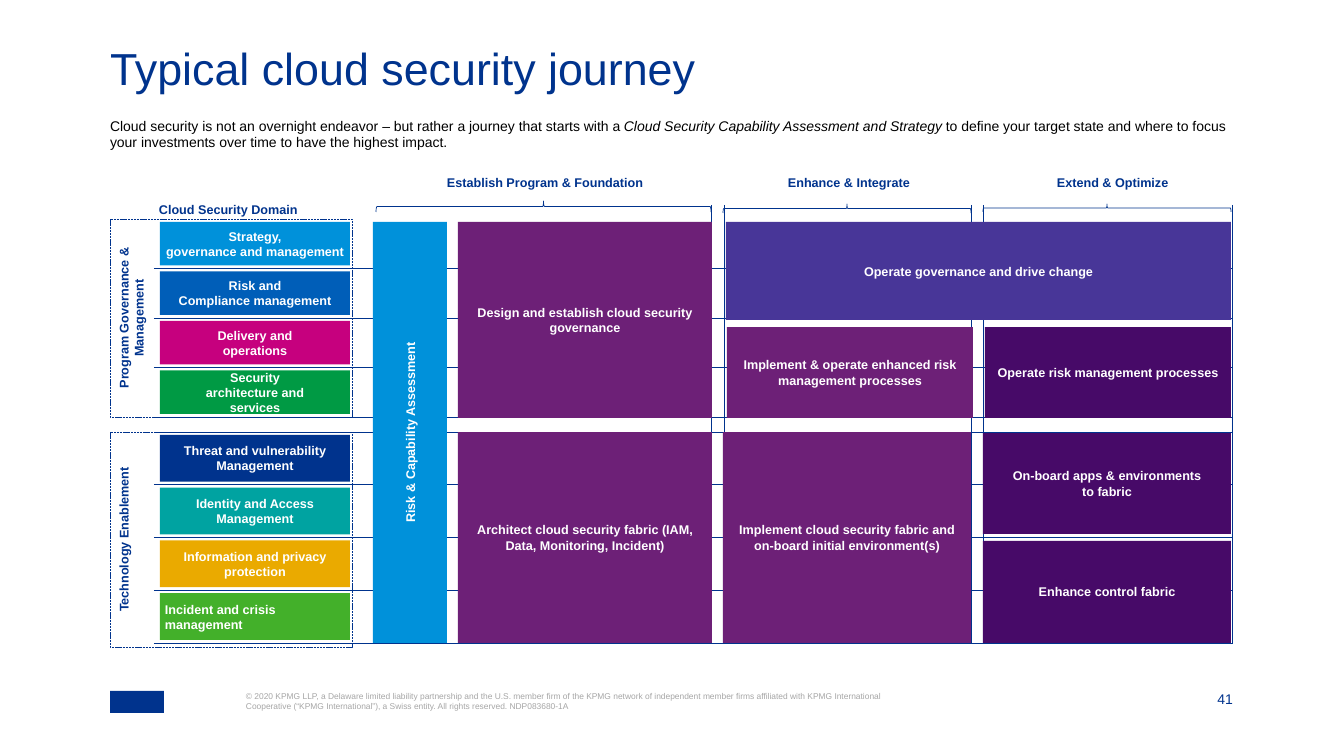
from dataclasses import dataclass

from lxml import etree
from pptx import Presentation
from pptx.dml.color import RGBColor
from pptx.enum.dml import MSO_LINE
from pptx.enum.shapes import MSO_CONNECTOR, MSO_SHAPE
from pptx.enum.text import MSO_ANCHOR, PP_ALIGN
from pptx.oxml.ns import qn
from pptx.util import Pt

EMU_PER_PX = 914400 / 100.8


@dataclass(frozen=True)
class Theme:
    font: str = "Arial"
    navy: str = "00338D"
    black: str = "000000"
    white: str = "FFFFFF"
    grey: str = "A6A6A6"
    sky: str = "0091DA"
    blue: str = "005EB8"
    pink: str = "C6007E"
    green: str = "009A44"
    teal: str = "00A3A1"
    amber: str = "EAAA00"
    lime: str = "43B02A"
    purple: str = "6D2077"
    indigo: str = "483698"
    violet: str = "470A68"
    title: int = 32
    body: int = 10
    label: int = 9
    legal: int = 6
    hairline: float = 0.5


THEME = Theme()


@dataclass(frozen=True)
class Box:
    x: float
    y: float
    w: float
    h: float

    def inner(self, dx, dy, w, h):
        return Box(self.x + dx, self.y + dy, w, h)

    def emu(self):
        return [px(v) for v in (self.x, self.y, self.w, self.h)]


BANDS = [  # name, top, frame height, height of the four rows, domains
    ("Program Governance & Management", 50, 198, 198, [
        ("Strategy,\ngovernance and management", THEME.sky),
        ("Risk and\nCompliance management", THEME.blue),
        ("Delivery and\noperations", THEME.pink),
        ("Security\narchitecture and\nservices", THEME.green),
    ]),
    ("Technology Enablement", 263, 215, 211, [
        ("Threat and vulnerability Management", THEME.navy),
        ("Identity and Access Management", THEME.teal),
        ("Information and privacy protection", THEME.amber),
        ("Incident and crisis management", THEME.lime),
    ]),
]

PHASES = [  # name, label left, bracket left, width, top and height
    ("Establish Program & Foundation", 331, 266, 335, 32, 11),
    ("Enhance & Integrate", 672, 613, 248, 35, 9),
    ("Extend & Optimize", 941, 873, 248, 35, 8),
]

ACTIVITIES = [  # text, left, top, width, height, colour
    ("Design and establish cloud security governance",
     348, 53, 254, 196, THEME.purple),
    ("Architect cloud security fabric (IAM, Data, Monitoring, Incident)",
     348, 263, 254, 211, THEME.purple),
    ("Implement cloud security fabric and on-board initial environment(s)",
     613, 263, 248, 211, THEME.purple),
    ("On-board apps & environments\nto fabric", 873, 264, 248, 101, THEME.violet),
    ("Enhance control fabric", 873, 372, 248, 102, THEME.violet),
    ("Operate risk management processes", 875, 158, 246, 91, THEME.violet),
    ("Operate governance and drive change", 616, 53, 505, 98, THEME.indigo),
    ("Implement & operate enhanced risk management processes",
     617, 158, 246, 91, THEME.purple),
]


def px(value):
    return round(value * EMU_PER_PX)


def write(shape, text, size=THEME.label, color=THEME.white, bold=False,
          align=PP_ALIGN.LEFT, anchor=MSO_ANCHOR.TOP, inset=0, spacing=None,
          vertical=False, wrap=True):
    """Fill a shape with text; a newline starts a paragraph, *stars* mark italics."""
    frame = shape.text_frame
    frame.word_wrap = wrap
    frame.vertical_anchor = anchor
    frame.margin_left = frame.margin_right = px(inset)
    frame.margin_top = frame.margin_bottom = px(inset)
    if vertical:
        frame._txBody.bodyPr.set("vert", "vert270")
    for index, line in enumerate(text.split("\n")):
        paragraph = frame.add_paragraph() if index else frame.paragraphs[0]
        paragraph.alignment = align
        paragraph.line_spacing = spacing
        for order, piece in enumerate(line.split("*")):
            run = paragraph.add_run()
            run.text = piece
            run.font.name = THEME.font
            run.font.size = Pt(size)
            run.font.bold = bold
            run.font.italic = order % 2 == 1
            run.font.color.rgb = RGBColor.from_string(color)


def add_text(slide, box, text, **style):
    write(slide.shapes.add_textbox(*box.emu()), text, **style)


def add_block(slide, box, fill=None, outline=None, kind=MSO_SHAPE.RECTANGLE):
    block = slide.shapes.add_shape(kind, *box.emu())
    block.shadow.inherit = False
    if fill:
        block.fill.solid()
        block.fill.fore_color.rgb = RGBColor.from_string(fill)
    else:
        block.fill.background()
    if outline:
        block.line.color.rgb = RGBColor.from_string(outline)
        block.line.width = Pt(THEME.hairline)
    else:
        block.line.fill.background()
    return block


def add_rule(slide, x1, y1, x2, y2):
    rule = slide.shapes.add_connector(
        MSO_CONNECTOR.STRAIGHT, px(x1), px(y1), px(x2), px(y2))
    rule.line.color.rgb = RGBColor.from_string(THEME.navy)
    rule.line.width = Pt(THEME.hairline)
    etree.SubElement(rule._element.spPr, qn("a:effectLst"))


def draw_header(slide, box):
    add_text(slide, box.inner(0, 0, box.w, 58), "Typical cloud security journey",
             size=THEME.title, color=THEME.navy, spacing=0.9)
    add_text(slide, box.inner(0, 70, box.w, 36),
             "Cloud security is not an overnight endeavor – but rather a journey that "
             "starts with a *Cloud Security Capability Assessment and Strategy* to define "
             "your target state and where to focus your investments over time to have "
             "the highest impact.", size=THEME.body, color=THEME.black)


def draw_grid(slide, box):
    for _, top, _, height, domains in BANDS:
        pitch = height / len(domains)
        for row in range(1, len(domains) + 1):
            y = box.y + top + row * pitch
            add_rule(slide, box.x + 44, y, box.x + box.w, y)
    fabric_top = box.y + BANDS[1][1]
    add_rule(slide, box.x + 44, fabric_top, box.x + box.w, fabric_top)
    for dx in (601, 614, 861, 873, 1122):
        add_rule(slide, box.x + dx, box.y + 36, box.x + dx, box.y + 475)


def draw_domains(slide, box):
    add_text(slide, box.inner(43, 27, 190, 24), "Cloud Security Domain",
             color=THEME.navy, bold=True, inset=6, wrap=False)
    for name, top, frame_height, height, domains in BANDS:
        frame = add_block(slide, box.inner(0, top, box.w, frame_height),
                          outline=THEME.navy)
        frame.line.dash_style = MSO_LINE.SQUARE_DOT
        write(frame, name, color=THEME.navy, bold=True, align=PP_ALIGN.CENTER,
              inset=6, vertical=True)
        pitch = height / len(domains)
        for row, (domain, color) in enumerate(domains):
            cell = box.inner(50, top + row * pitch + 3, 190, pitch - 6)
            last = domain.startswith("Incident")
            write(add_block(slide, cell, fill=color), domain, bold=True, inset=5,
                  align=PP_ALIGN.LEFT if last else PP_ALIGN.CENTER,
                  anchor=MSO_ANCHOR.MIDDLE)


def draw_phases(slide, box):
    centred = dict(bold=True, align=PP_ALIGN.CENTER, anchor=MSO_ANCHOR.MIDDLE, inset=6)
    for name, label_x, left, width, top, height in PHASES:
        add_text(slide, box.inner(label_x, 0, 212, 28), name,
                 color=THEME.navy, bold=True, inset=6, wrap=False)
        upright = box.inner(left + (width - height) / 2, top - (width - height) / 2,
                            height, width)
        bracket = add_block(slide, upright, outline=THEME.navy,
                            kind=MSO_SHAPE.LEFT_BRACE)
        bracket.rotation = 90
    assessment = add_block(slide, box.inner(263, 53, 74, 421), fill=THEME.sky)
    write(assessment, "Risk & Capability Assessment", vertical=True, **centred)
    for activity, *place, color in ACTIVITIES:
        write(add_block(slide, box.inner(*place), fill=color), activity, **centred)


def draw_footer(slide, box):
    add_block(slide, box.inner(0, 0, 54, 22), fill=THEME.navy)
    add_text(slide, box.inner(136, 0, 644, 41),
             "© 2020 KPMG LLP, a Delaware limited liability partnership and the U.S. "
             "member firm of the KPMG network of independent member firms affiliated with "
             "KPMG International Cooperative (“KPMG International”), a Swiss entity. "
             "All rights reserved. NDP083680-1A", size=THEME.legal, color=THEME.grey)
    add_text(slide, box.inner(box.w - 50, 0, 50, 16), "41", size=THEME.body,
             color=THEME.navy, align=PP_ALIGN.RIGHT, anchor=MSO_ANCHOR.BOTTOM)


def main():
    deck = Presentation()
    deck.slide_width, deck.slide_height = px(1344), px(756)
    slide = deck.slides.add_slide(deck.slide_layouts[6])
    draw_header(slide, Box(110, 47, 1124, 106))
    journey = Box(110, 169, 1123, 478)
    draw_grid(slide, journey)
    draw_domains(slide, journey.inner(0, 0, 242, journey.h))
    draw_phases(slide, journey)
    draw_footer(slide, Box(110, 691, 1123, 41))
    deck.save("out.pptx")


if __name__ == "__main__":
    main()
